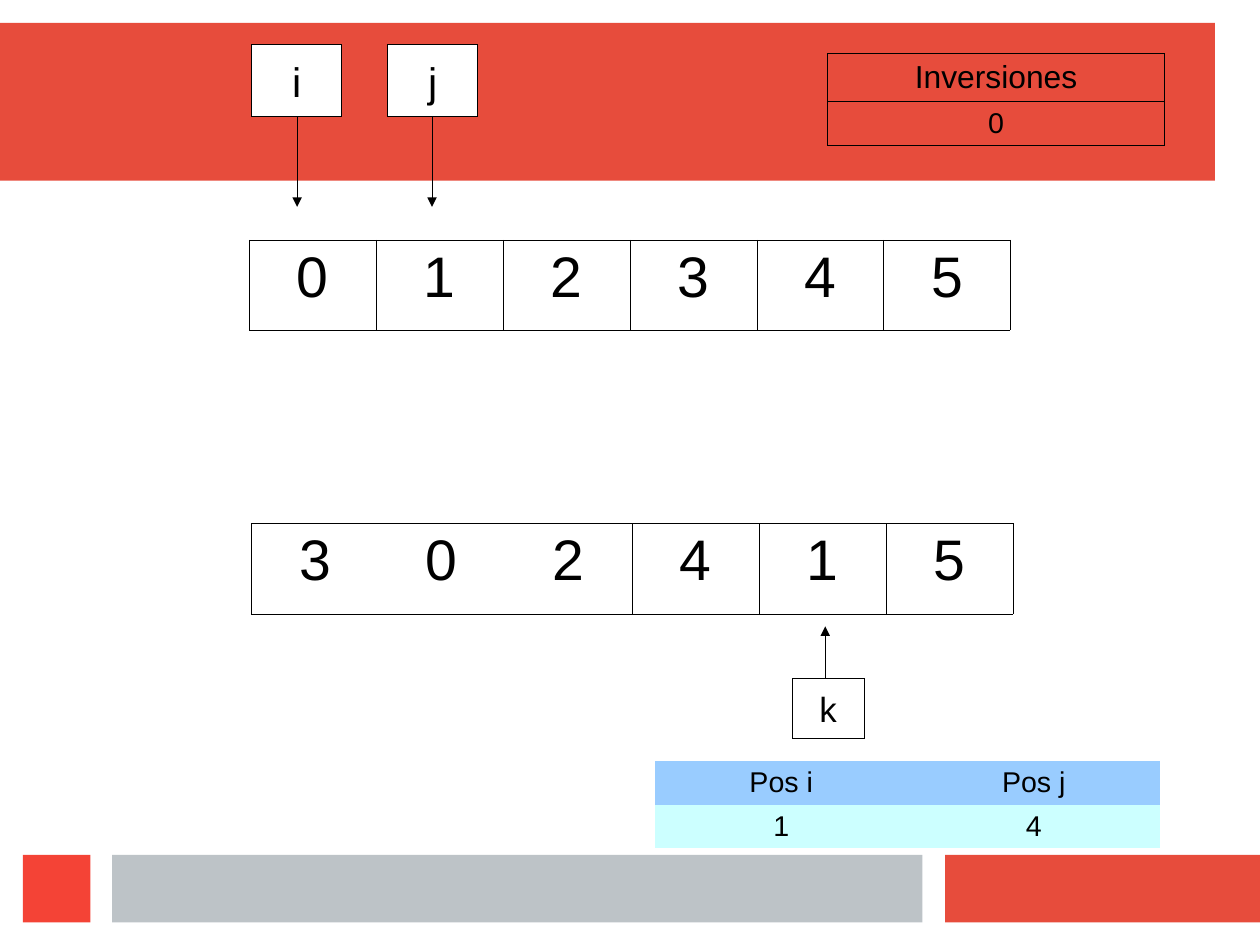
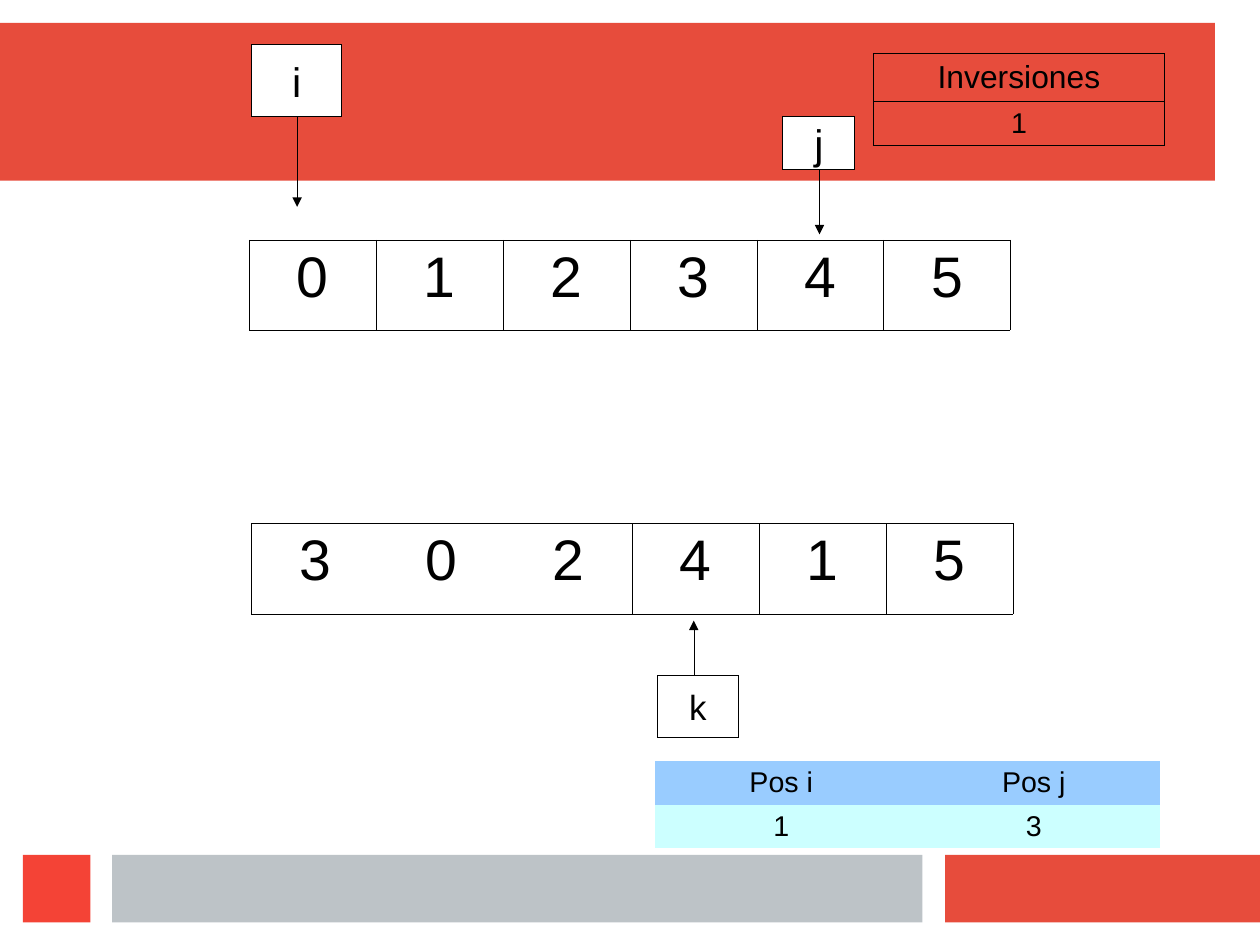
from dataclasses import dataclass

import lxml.etree
import pptx
import pptx.dml.color
import pptx.enum.shapes
import pptx.enum.text
import pptx.oxml.ns
import pptx.slide
import pptx.text.text
import pptx.util
from pptx.util import Inches

COLORS = {
    "band": "E74C3C",
    "accent": "F44336",
    "gray": "BDC3C7",
    "white": "FFFFFF",
    "ink": "000000",
    "header": "99CCFF",
    "body": "CCFFFF",
}
FONT = "Arial"
SIDES = "LRTB"
HAIRLINE = 0.06
# The page measures 28 by 21 centimetres.
SLIDE_WIDTH = Inches(28 / 2.54)
SLIDE_HEIGHT = Inches(21 / 2.54)


@dataclass(frozen=True)
class Box:
    left: float
    top: float
    width: float
    height: float


@dataclass(frozen=True)
class Band:
    box: Box
    color: str


@dataclass(frozen=True)
class Marker:
    """A labelled box with an arrow to an array cell."""

    label: str
    box: Box
    arrow_x: float
    tip_y: float
    size: int = 26


@dataclass(frozen=True)
class Cell:
    text: str
    size: int
    sides: str = SIDES
    fill: str | None = None


@dataclass(frozen=True)
class Step:
    markers: list[Marker]
    positions: tuple[str, str]
    inversions: str
    counter_left: float


BANDS = [
    Band(Box(0, 0.2, 10.63, 1.38), "band"),
    Band(Box(8.27, 7.48, 2.76, 0.59), "band"),
    Band(Box(0.98, 7.48, 7.09, 0.59), "gray"),
    Band(Box(0.2, 7.48, 0.59, 0.59), "accent"),
]
INDEXES = "012345"
VALUES = "302415"
# The first three values form one group without inner borders.
VALUE_SIDES = ["LTB", "TB", "RTB", SIDES, SIDES, SIDES]
COUNTER_RIGHT = 10.19

MARKER_I = Marker("i", Box(2.2, 0.39, 0.79, 0.63), 2.6, 1.81)
STEPS = [
    Step(
        [
            MARKER_I,
            Marker("j", Box(3.39, 0.39, 0.79, 0.63), 3.78, 1.81),
            Marker("k", Box(6.93, 5.94, 0.63, 0.52), 7.22, 5.48, 22),
        ],
        ("1", "4"), "0", 7.24,
    ),
    Step(
        [
            MARKER_I,
            Marker("j", Box(6.85, 1.02, 0.63, 0.46), 7.17, 2.05),
            Marker("k", Box(5.75, 5.91, 0.71, 0.54), 6.07, 5.43, 22),
        ],
        ("1", "3"), "1", 7.64,
    ),
]


def rgb(name: str) -> pptx.dml.color.RGBColor:
    return pptx.dml.color.RGBColor.from_string(COLORS[name])


def set_text(text_frame: pptx.text.text.TextFrame, text: str, size: int) -> None:
    text_frame.text = text
    paragraph = text_frame.paragraphs[0]
    paragraph.alignment = pptx.enum.text.PP_ALIGN.CENTER
    font = paragraph.runs[0].font
    font.name = FONT
    font.size = pptx.util.Pt(size)
    font.color.rgb = rgb("ink")


def add_rectangle(slide: pptx.slide.Slide, box: Box, color: str):
    shape = slide.shapes.add_shape(
        pptx.enum.shapes.MSO_SHAPE.RECTANGLE,
        Inches(box.left), Inches(box.top), Inches(box.width), Inches(box.height),
    )
    shape.shadow.inherit = False
    shape.fill.solid()
    shape.fill.fore_color.rgb = rgb(color)
    shape.line.fill.background()
    return shape


def move_bands_to_layout(slide: pptx.slide.Slide) -> None:
    """Draw the bands on a slide, then hand them to its layout."""
    layout = slide.slide_layout
    for placeholder in list(layout.placeholders):
        layout.element.cSld.spTree.remove(placeholder.element)
    for band in BANDS:
        shape = add_rectangle(slide, band.box, band.color)
        layout.element.cSld.spTree.append(shape.element)


def set_thin_line(shape) -> lxml.etree.ElementBase:
    """Give a zero-width outline, which line.width cannot write."""
    shape.line.color.rgb = rgb("ink")
    line = shape.element.spPr.find(pptx.oxml.ns.qn("a:ln"))
    line.set("w", "0")
    return line


def add_marker(slide: pptx.slide.Slide, marker: Marker) -> None:
    box = marker.box
    start_y = box.top + box.height if marker.tip_y > box.top else box.top
    arrow = slide.shapes.add_connector(
        pptx.enum.shapes.MSO_CONNECTOR.STRAIGHT,
        Inches(marker.arrow_x), Inches(start_y),
        Inches(marker.arrow_x), Inches(marker.tip_y),
    )
    tail = lxml.etree.SubElement(set_thin_line(arrow), pptx.oxml.ns.qn("a:tailEnd"))
    tail.set("type", "triangle")
    lxml.etree.SubElement(arrow.element.spPr, pptx.oxml.ns.qn("a:effectLst"))

    shape = add_rectangle(slide, box, "white")
    set_thin_line(shape)
    text_frame = shape.text_frame
    text_frame.word_wrap = False
    text_frame.vertical_anchor = pptx.enum.text.MSO_ANCHOR.MIDDLE
    set_text(text_frame, marker.label, marker.size)


def set_borders(cell, sides: str, width: float) -> None:
    properties = cell._tc.get_or_add_tcPr()
    for side in SIDES:
        line = lxml.etree.SubElement(properties, pptx.oxml.ns.qn(f"a:ln{side}"))
        if side in sides:
            line.set("w", str(pptx.util.Pt(width)))
            fill = lxml.etree.SubElement(line, pptx.oxml.ns.qn("a:solidFill"))
            color = lxml.etree.SubElement(fill, pptx.oxml.ns.qn("a:srgbClr"))
            color.set("val", COLORS["ink"])
        else:
            lxml.etree.SubElement(line, pptx.oxml.ns.qn("a:noFill"))


def add_grid(
    slide: pptx.slide.Slide,
    left: float,
    top: float,
    column_width: float,
    row_heights: list[float],
    rows: list[list[Cell]],
    border: float = HAIRLINE,
) -> None:
    columns = len(rows[0])
    table = slide.shapes.add_table(
        len(rows), columns, Inches(left), Inches(top),
        Inches(column_width * columns), Inches(sum(row_heights)),
    ).table
    table.first_row = False
    table.horz_banding = False
    for column in table.columns:
        column.width = Inches(column_width)
    for row, height, contents in zip(table.rows, row_heights, rows):
        row.height = Inches(height)
        for cell, content in zip(row.cells, contents):
            set_text(cell.text_frame, content.text, content.size)
            set_borders(cell, content.sides, border)
            if content.fill:
                cell.fill.solid()
                cell.fill.fore_color.rgb = rgb(content.fill)
            else:
                cell.fill.background()


def draw_step(slide: pptx.slide.Slide, step: Step) -> None:
    index_row = [Cell(text, 36) for text in INDEXES]
    value_row = [Cell(text, 36, sides) for text, sides in zip(VALUES, VALUE_SIDES)]
    add_grid(slide, 2.18, 2.1, 1.11, [0.79], [index_row])
    add_grid(slide, 2.2, 4.58, 1.11, [0.79], [value_row])
    for marker in step.markers:
        add_marker(slide, marker)
    position_rows = [
        [Cell(text, 18, "", fill) for text in texts]
        for texts, fill in ((("Pos i", "Pos j"), "header"), (step.positions, "body"))
    ]
    add_grid(slide, 5.73, 6.66, 2.21, [0.38, 0.38], position_rows)
    add_grid(
        slide, step.counter_left, 0.47, COUNTER_RIGHT - step.counter_left,
        [0.42, 0.38], [[Cell("Inversiones", 20)], [Cell(step.inversions, 18)]], 0.57,
    )


def main() -> None:
    presentation = pptx.Presentation()
    presentation.slide_width = SLIDE_WIDTH
    presentation.slide_height = SLIDE_HEIGHT
    layout = presentation.slide_layouts[6]
    slides = [presentation.slides.add_slide(layout) for _ in STEPS]
    move_bands_to_layout(slides[0])
    for slide, step in zip(slides, STEPS):
        draw_step(slide, step)
    presentation.save("out.pptx")


if __name__ == "__main__":
    main()
